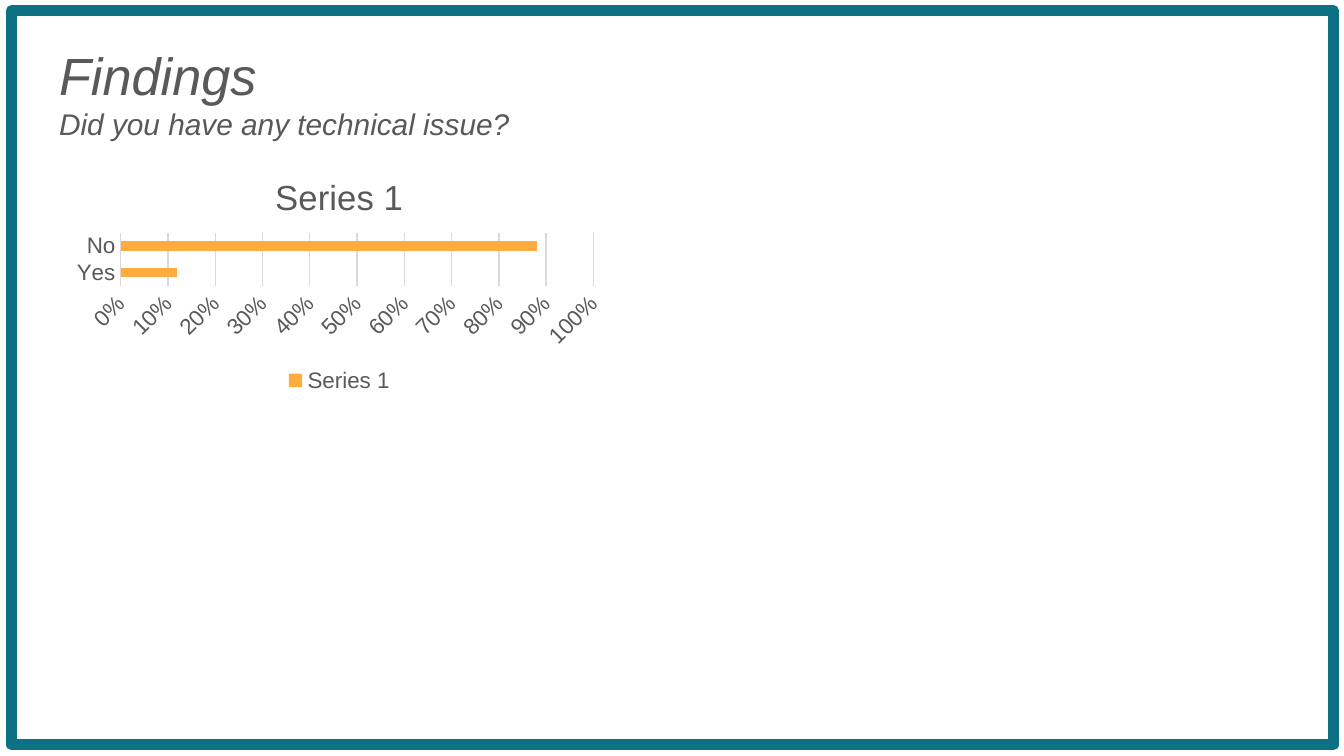
from dataclasses import dataclass

from lxml.etree import SubElement
from pptx import Presentation
from pptx.chart.data import CategoryChartData as ChartData
from pptx.dml.color import RGBColor as RGB
from pptx.enum.chart import XL_CHART_TYPE as Kind, XL_LEGEND_POSITION as Spot
from pptx.enum.chart import XL_TICK_MARK as Tick
from pptx.enum.shapes import MSO_SHAPE as Shape
from pptx.enum.text import MSO_ANCHOR as Anchor, MSO_AUTO_SIZE as Fit, PP_ALIGN as Align
from pptx.oxml.ns import qn
from pptx.util import Pt


@dataclass(frozen=True)
class Theme:
    font: str = "Arial"
    text: RGB = RGB(0x59, 0x59, 0x59)
    teal: RGB = RGB(0x0C, 0x71, 0x82)
    grid: RGB = RGB(0xD9, 0xD9, 0xD9)
    bar: RGB = RGB(0xFF, 0xAB, 0x40)
    head: float = 28
    sub: float = 16
    title: float = 18.6
    label: float = 12


THEME = Theme()


def style(font, size, italic=False):
    font.name = THEME.font
    font.size = Pt(size)
    font.color.rgb = THEME.text
    font.bold = False
    font.italic = italic


def rule(line):
    line.color.rgb = THEME.grid
    line.width = Pt(0.75)


def add_frame(slide, box):
    frame = slide.shapes.add_shape(Shape.RECTANGLE, *map(Pt, box))
    frame.shadow.inherit = False
    frame.fill.background()
    frame.line.color.rgb = THEME.teal
    frame.line.width = Pt(6)
    # Rounded outer corners
    SubElement(frame.element.spPr.find(qn("a:ln")), qn("a:round"))
    return frame


def fill_text(holder, box, lines):
    holder.left, holder.top, holder.width, holder.height = map(Pt, box)
    frame = holder.text_frame
    frame.text = "\n".join(text for text, size in lines)
    frame.word_wrap = True
    frame.auto_size = Fit.NONE
    frame.vertical_anchor = Anchor.TOP
    frame.margin_left = frame.margin_right = Pt(7.2)
    frame.margin_top = frame.margin_bottom = Pt(7.2)
    for para, (text, size) in zip(frame.paragraphs, lines):
        para.alignment = Align.LEFT
        para.space_before = para.space_after = Pt(0)
        para.line_spacing = 1.0
        style(para.runs[0].font, size, italic=True)


def add_bars(slide, box, name, votes):
    data = ChartData(number_format="0%")
    data.categories = list(votes)
    data.add_series(name, list(votes.values()))
    chart = slide.shapes.add_chart(Kind.BAR_CLUSTERED, *map(Pt, box), data).chart
    style(chart.font, THEME.label)

    # Title and legend
    chart.has_title = True
    title = chart.chart_title
    title.text_frame.text = name
    title.include_in_layout = False
    style(title.text_frame.paragraphs[0].runs[0].font, THEME.title)
    chart.has_legend = True
    chart.legend.position = Spot.BOTTOM
    chart.legend.include_in_layout = False
    style(chart.legend.font, THEME.label)

    # Bars
    plot = chart.plots[0]
    plot.gap_width = 182
    plot.vary_by_categories = False
    fill = plot.series[0].format.fill
    fill.solid()
    fill.fore_color.rgb = THEME.bar

    # Axes
    cat, val = chart.category_axis, chart.value_axis
    for axis in (cat, val):
        axis.major_tick_mark = axis.minor_tick_mark = Tick.NONE
        style(axis.tick_labels.font, THEME.label)
    rule(cat.format.line)
    val.minimum_scale, val.maximum_scale, val.major_unit = 0, 1, 0.1
    val.format.line.fill.background()
    val.has_major_gridlines = True
    rule(val.major_gridlines.format.line)
    val.tick_labels.number_format = "0%"
    val.tick_labels.number_format_is_linked = False
    # Slanted percent labels
    val.tick_labels.font
    body = chart.element.find(f".//{qn('c:valAx')}/{qn('c:txPr')}/{qn('a:bodyPr')}")
    body.set("rot", str(-45 * 60000))


def main():
    deck = Presentation()
    deck.slide_width, deck.slide_height = Pt(720), Pt(405)
    slide = deck.slides.add_slide(deck.slide_layouts[0])

    # Heading, with the unused title removed
    title, head = slide.placeholders
    title.element.getparent().remove(title.element)
    lines = [("Findings", THEME.head),
             ("Did you have any technical issue?", THEME.sub)]
    fill_text(head, (24.5, 16, 671, 62.6), lines)

    # Border behind the heading
    frame = add_frame(slide, (6.2, 5.7, 708, 393.3))
    head.element.addprevious(frame.element)

    # Survey answers
    add_bars(slide, (35.3, 83.5, 293, 129.6), "Series 1", {"Yes": 0.12, "No": 0.88})
    deck.save("out.pptx")


if __name__ == "__main__":
    main()
